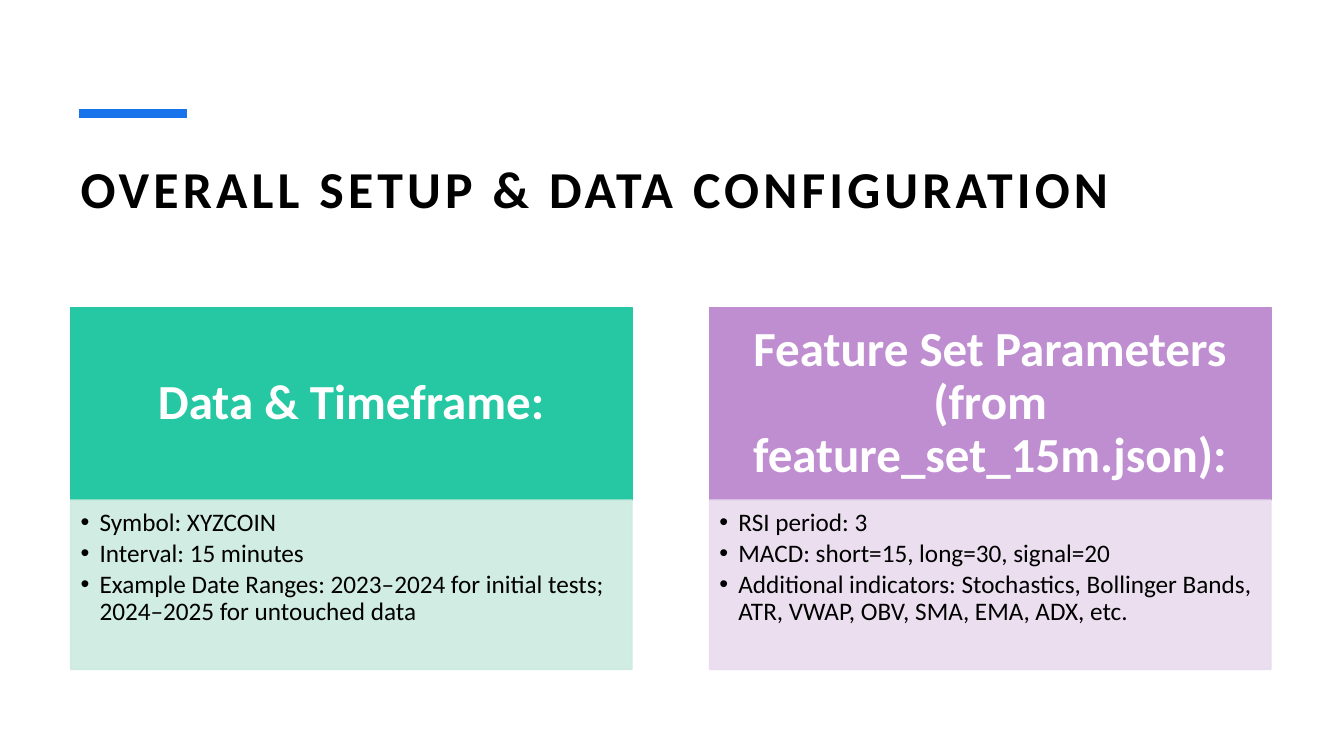
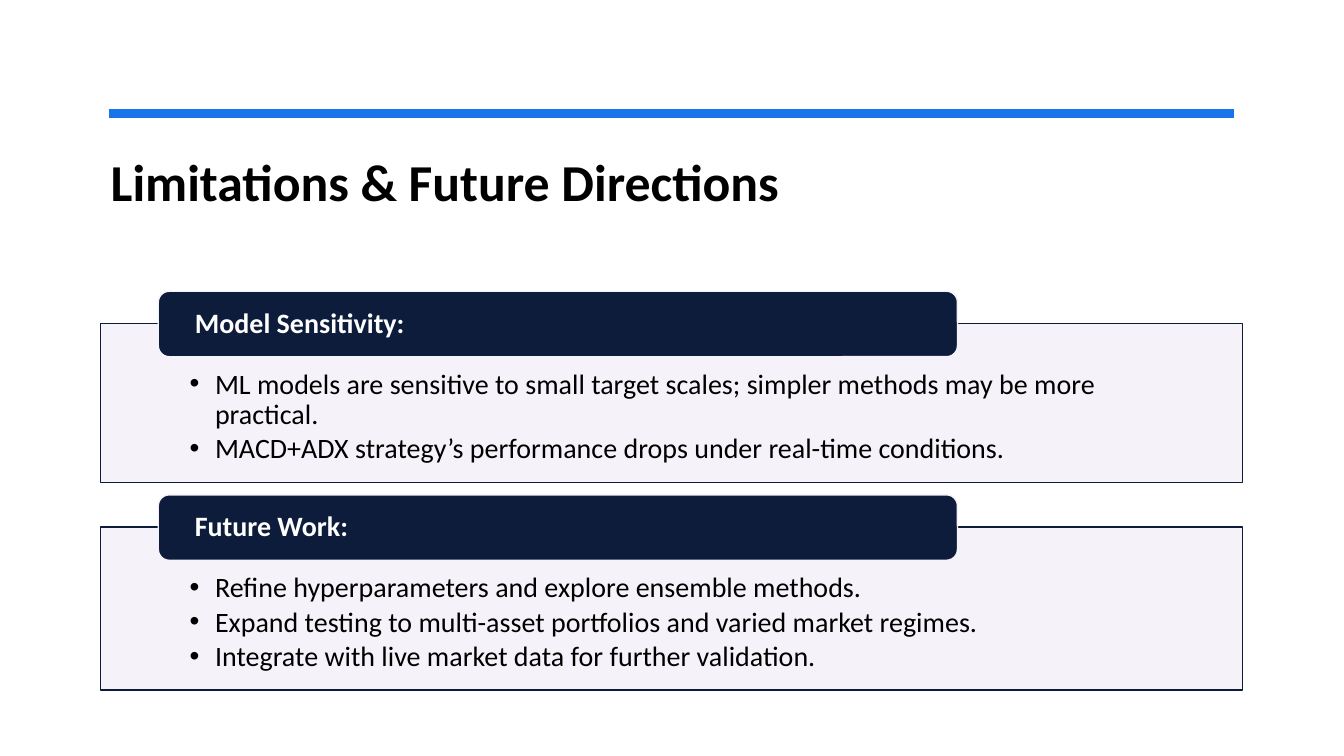
from pptx import Presentation
from pptx.dml.color import RGBColor
from pptx.enum.shapes import MSO_CONNECTOR as CONN, MSO_SHAPE as SHAPE
from pptx.enum.text import MSO_ANCHOR as ANCHOR, PP_ALIGN as ALIGN
from pptx.oxml.ns import qn
from pptx.util import Cm, Pt
from lxml.etree import SubElement

FONT = "Calibri"
COLORS = {
    "text": "000000", "white": "FFFFFF", "rule": "1973EB",
    "green": "25C8A2", "pale_green": "CDEBE0",
    "purple": "BF8ED1", "pale_purple": "E8DBEE",
    "navy": "0D1C3B", "pale_lilac": "F5F2F9",
}
TITLE_SIZE = 37


def rgb(name):
    return RGBColor.from_string(COLORS[name])


def set_alpha(fill_parent, percent):
    """Make the solid fill under an element partly transparent."""
    color = fill_parent.find(qn("a:solidFill"))[0]
    SubElement(color, qn("a:alpha"), val=str(percent * 1000))


def add_bullet(p, indent):
    pPr = p._p.get_or_add_pPr()
    pPr.set("marL", str(Cm(indent)))
    pPr.set("indent", str(-Cm(indent)))
    SubElement(pPr, qn("a:buFont"), typeface="Arial")
    SubElement(pPr, qn("a:buChar"), char="•")


def write(sp, lines, size, color="text", bold=False, align=ALIGN.LEFT,
          anchor=ANCHOR.TOP, margins=(0.25, 0.13, 0.25, 0.13),
          line_spacing=0.9, after=0, indent=None, tracking=0):
    """Fill a shape with paragraphs; an indent makes them bullets."""
    tf = sp.text_frame
    tf.word_wrap = True
    tf.vertical_anchor = anchor
    (tf.margin_left, tf.margin_top,
     tf.margin_right, tf.margin_bottom) = map(Cm, margins)
    for i, line in enumerate(lines):
        p = tf.add_paragraph() if i else tf.paragraphs[0]
        p.alignment = align
        p.line_spacing = line_spacing
        p.space_after = Pt(after)
        if indent:
            add_bullet(p, indent)
        r = p.add_run()
        r.text = line
        r.font.name, r.font.size, r.font.bold = FONT, Pt(size), bold
        r.font.color.rgb = rgb(color)
        if tracking:
            r._r.get_or_add_rPr().set("spc", str(tracking * 100))


def add_box(slide, box, fill, line, kind=SHAPE.RECTANGLE,
            fill_alpha=None, line_alpha=None):
    sp = slide.shapes.add_shape(kind, *map(Cm, box))
    sp.shadow.inherit = False
    sp.fill.solid()
    sp.fill.fore_color.rgb = rgb(fill)
    sp.line.color.rgb = rgb(line)
    sp.line.width = Pt(1)
    if fill_alpha:
        set_alpha(sp._element.spPr, fill_alpha)
    if line_alpha:
        set_alpha(sp.line._get_or_add_ln(), line_alpha)
    return sp


def add_heading(slide, text, box, rule_width, **text_format):
    """Title with the blue rule above it."""
    left, top, width, height = box
    start, y = left + 0.2, top - 0.95
    rule = slide.shapes.add_connector(
        CONN.STRAIGHT, Cm(start), Cm(y), Cm(start + rule_width), Cm(y))
    rule.line.color.rgb = rgb("rule")
    rule.line.width = Pt(6)
    SubElement(rule._element.spPr, qn("a:effectLst"))
    title = slide.shapes.add_textbox(*map(Cm, (left, top, width, height)))
    write(title, [text], TITLE_SIZE, bold=True, **text_format)


def add_card(slide, box, header, bullets, strong, pale):
    """Coloured header block over a pale bullet block."""
    left, top, width, height = box
    header_h = 4.85
    head = add_box(slide, (left, top, width, header_h), strong, strong)
    write(head, [header], 35, color="white", bold=True, align=ALIGN.CENTER,
          anchor=ANCHOR.MIDDLE, margins=(0.68, 0.4, 0.68, 0.4))
    body = add_box(slide, (left, top + header_h, width, height - header_h),
                   pale, pale, fill_alpha=90, line_alpha=90)
    write(body, bullets, 18, margins=(0.25, 0.25, 0.36, 0.4),
          after=2.7, indent=0.48)


def add_panel(slide, box, label, bullets):
    """Outlined bullet panel with a label tab over its top edge."""
    left, top, _, _ = box
    panel = add_box(slide, box, "pale_lilac", "navy", fill_alpha=90)
    write(panel, bullets, 20, margins=(2.24, 1.17, 2.24, 0.4),
          after=3, indent=0.64)
    tab = add_box(slide, (left + 1.45, top - 0.81, 20.14, 1.65),
                  "navy", "pale_lilac", kind=SHAPE.ROUNDED_RECTANGLE)
    write(tab, [label], 20, color="white", bold=True, anchor=ANCHOR.MIDDLE,
          margins=(0.84, 0, 0.84, 0))


def setup_slide(slide):
    left, top, width, gap = 1.78, 7.75, 14.15, 1.95
    add_heading(slide, "OVERALL SETUP & DATA CONFIGURATION",
                (left, 3.81, 30.25, 3.05), 2.72, line_spacing=1, tracking=3)
    cards = [
        ("Data & Timeframe:",
         ["Symbol: XYZCOIN",
          "Interval: 15 minutes",
          "Example Date Ranges: 2023–2024 for initial tests; "
          "2024–2025 for untouched data"],
         "green", "pale_green"),
        ("Feature Set Parameters (from feature_set_15m.json):",
         ["RSI period: 3",
          "MACD: short=15, long=30, signal=20",
          "Additional indicators: Stochastics, Bollinger Bands, "
          "ATR, VWAP, OBV, SMA, EMA, ADX, etc."],
         "purple", "pale_purple"),
    ]
    for i, card in enumerate(cards):
        add_card(slide, (left + i * (width + gap), top, width, 9.12), *card)


def outlook_slide(slide):
    left, top, width, gap = 2.54, 8.15, 28.78, 1.12
    add_heading(slide, "Limitations & Future Directions",
                (left, 3.81, width, 3.18), 28.37)
    panels = [
        (4.01, "Model Sensitivity:",
         ["ML models are sensitive to small target scales; "
          "simpler methods may be more practical.",
          "MACD+ADX strategy’s performance drops under real-time conditions."]),
        (4.11, "Future Work:",
         ["Refine hyperparameters and explore ensemble methods.",
          "Expand testing to multi-asset portfolios and varied market regimes.",
          "Integrate with live market data for further validation."]),
    ]
    for height, label, bullets in panels:
        add_panel(slide, (left, top, width, height), label, bullets)
        top += height + gap


def main():
    prs = Presentation()
    prs.slide_width, prs.slide_height = Cm(33.87), Cm(19.05)
    blank = prs.slide_layouts[6]
    for build in (setup_slide, outlook_slide):
        build(prs.slides.add_slide(blank))
    prs.save("out.pptx")


if __name__ == "__main__":
    main()
